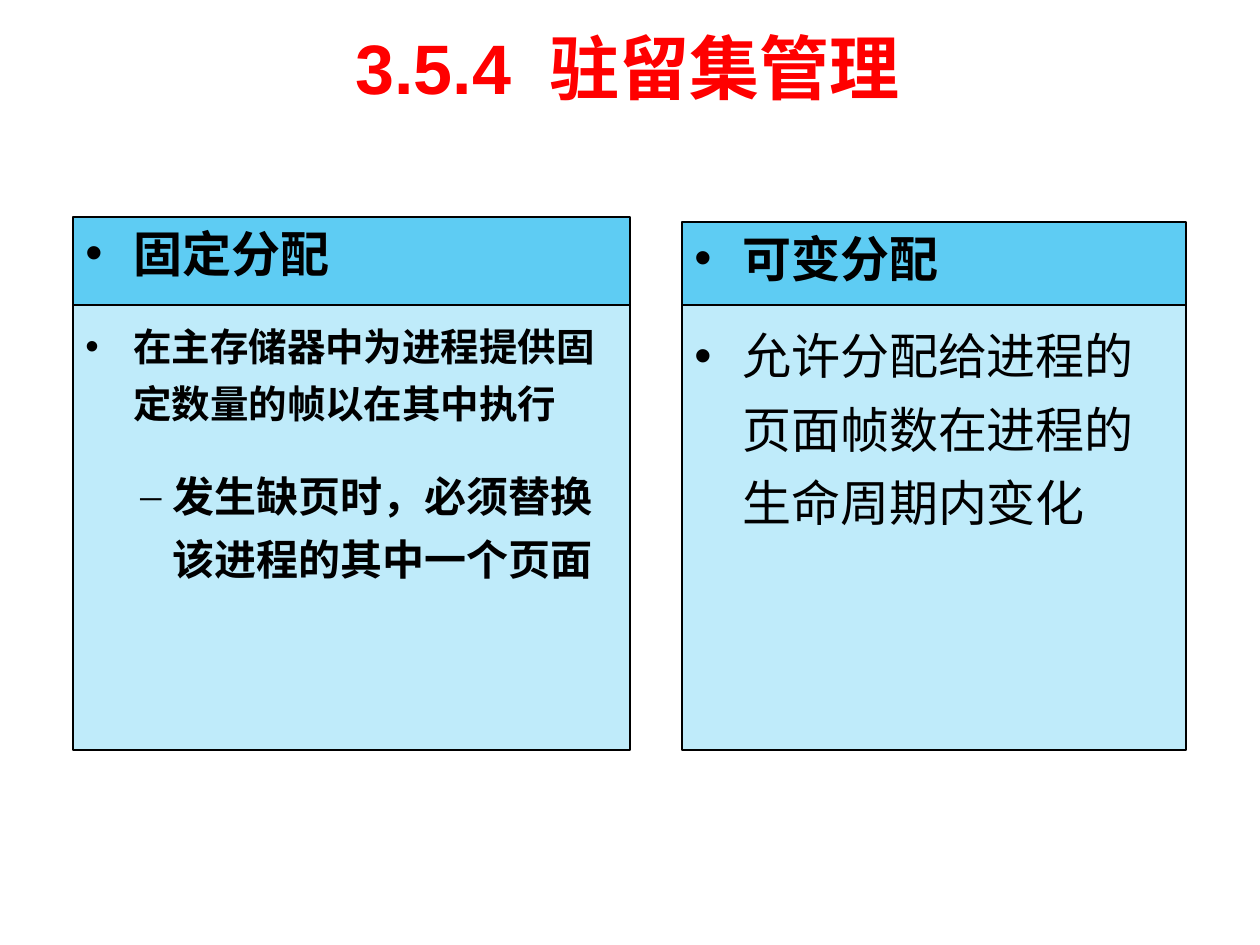
import lxml.etree
import pptx
import pptx.dml.color
import pptx.enum.shapes
import pptx.enum.text
import pptx.oxml.ns
import pptx.util

PX = 914400 / 126
BLACK, RED, HEAD_FILL, BODY_FILL = "000000", "FF0000", "5ECCF3", "BFEBFA"
SANS, SERIF = "Arial", "Times New Roman"


def px(length):
    return pptx.util.Emu(round(length * PX))


def color(value):
    return pptx.dml.color.RGBColor.from_string(value)


class Page:
    def __init__(self, deck):
        self.slide = deck.slides.add_slide(deck.slide_layouts[6])

    def add_span(self, para, text, size, font=SANS, bold=True, ink=BLACK):
        span = para.add_run()
        span.text = text
        span.font.size = pptx.util.Pt(size)
        span.font.name = font
        span.font.bold = bold
        span.font.color.rgb = color(ink)

    def bullet(self, para, mark, font, margin, indent):
        props = para._p.get_or_add_pPr()
        props.set("marL", str(px(margin)))
        props.set("indent", str(px(indent)))
        for tag, name, value in (("a:buFont", "typeface", font), ("a:buChar", "char", mark)):
            lxml.etree.SubElement(props, pptx.oxml.ns.qn(tag)).set(name, value)

    def title(self, x, y, width, height, text):
        box = self.slide.shapes.add_textbox(px(x), px(y), px(width), px(height))
        box.text_frame.word_wrap = True
        para = box.text_frame.paragraphs[0]
        para.alignment = pptx.enum.text.PP_ALIGN.CENTER
        self.add_span(para, text, 40, ink=RED)

    def panel(self, x, y, width, height, fill, items, spacing=None):
        """Draw a filled box; each item is (level, text, size, font, bold)."""
        box = self.slide.shapes.add_shape(
            pptx.enum.shapes.MSO_SHAPE.RECTANGLE, px(x), px(y), px(width), px(height))
        box.shadow.inherit = False
        box.fill.solid()
        box.fill.fore_color.rgb = color(fill)
        box.line.color.rgb = color(BLACK)
        box.line.width = pptx.util.Pt(0.75)
        frame = box.text_frame
        frame.word_wrap = True
        frame.vertical_anchor = pptx.enum.text.MSO_ANCHOR.TOP
        for index, (level, text, size, font, bold) in enumerate(items):
            para = frame.add_paragraph() if index else frame.paragraphs[0]
            para.alignment = pptx.enum.text.PP_ALIGN.LEFT
            para.level = level
            if spacing:
                para.line_spacing = spacing
            if index:
                para.space_before = pptx.util.Pt(18)
            if level:
                self.bullet(para, "–", SERIF, 87, -32)
            else:
                self.bullet(para, "•", SANS, 48, -48)
            self.add_span(para, text, size, font, bold)


def main():
    deck = pptx.Presentation()
    deck.slide_width, deck.slide_height = px(1260), px(945)
    page = Page(deck)

    page.title(134, 18, 987, 78, "3.5.4  驻留集管理")

    # Two columns: a heading panel resting on a body panel
    body_top, body_height = 305, 445
    columns = [
        (73, 217, 557, "固定分配", [
            (0, "在主存储器中为进程提供固定数量的帧以在其中执行", 22, SANS, True),
            (1, "发生缺页时，必须替换该进程的其中一个页面", 24, SANS, True)]),
        (682, 222, 504, "可变分配", [
            (0, "允许分配给进程的页面帧数在进程的生命周期内变化", 28, SANS, False)]),
    ]
    for x, top, width, heading, items in columns:
        page.panel(x, body_top, width, body_height, BODY_FILL, items, spacing=1.25)
        page.panel(x, top, width, body_top - top, HEAD_FILL,
                   [(0, heading, 28, SERIF, True)])

    deck.save("out.pptx")


if __name__ == "__main__":
    main()
